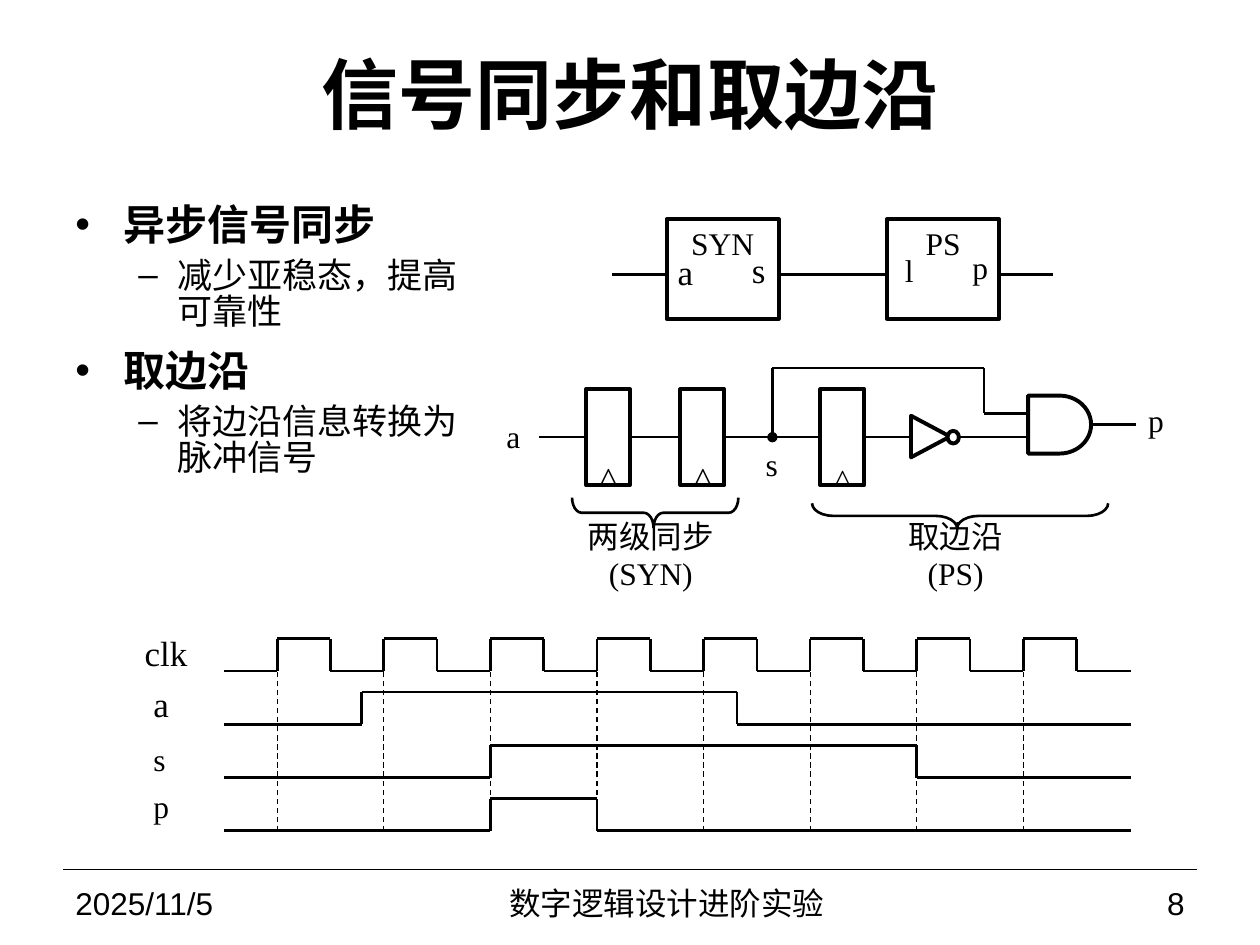
from dataclasses import dataclass

from lxml import etree
from pptx import Presentation
from pptx.dml.color import RGBColor
from pptx.enum import dml, shapes, text
from pptx.oxml.ns import qn
from pptx.util import Inches, Pt

COLORS = {"ink": "000000", "paper": "FFFFFF"}
SERIF, SANS, CJK = "Times New Roman", "Arial", "Noto Sans CJK SC"
COLS, ROWS = 100, 75
MSO = shapes.MSO_SHAPE
LEFT, CENTER, RIGHT = text.PP_ALIGN.LEFT, text.PP_ALIGN.CENTER, text.PP_ALIGN.RIGHT
TOP, MIDDLE = text.MSO_ANCHOR.TOP, text.MSO_ANCHOR.MIDDLE

prs = Presentation()
prs.slide_width, prs.slide_height = Inches(10), Inches(7.5)
CELL_W, CELL_H = prs.slide_width / COLS, prs.slide_height / ROWS


@dataclass
class Box:
    """A region of the slide, in grid columns and rows."""
    x: float
    y: float
    w: float
    h: float

    def at(self, x, y):
        return round((self.x + x) * CELL_W), round((self.y + y) * CELL_H)

    def frame(self, x, y, w, h):
        return *self.at(x, y), round(w * CELL_W), round(h * CELL_H)


def rgb(name):
    return RGBColor.from_string(COLORS[name])


def add_run(p, words, size, font=SERIF, bold=False):
    r = p.add_run()
    r.text = words
    r.font.name, r.font.size, r.font.bold = font, Pt(size), bold
    r.font.color.rgb = rgb("ink")
    etree.SubElement(r._r.get_or_add_rPr(), qn("a:ea"), typeface=CJK)


def setup_frame(tf, anchor=TOP, wrap=False, inset=None):
    tf.word_wrap, tf.vertical_anchor = wrap, anchor
    if inset is not None:
        tf.margin_left = tf.margin_right = 0
        tf.margin_top = tf.margin_bottom = Inches(inset)


def add_label(s, box, pos, words, size, align=LEFT, font=SERIF, **setup):
    """Text box; a list of words is split by line breaks."""
    sp = s.shapes.add_textbox(*box.frame(*pos))
    setup_frame(sp.text_frame, **setup)
    p = sp.text_frame.paragraphs[0]
    p.alignment = align
    for i, line in enumerate([words] if isinstance(words, str) else words):
        if i:
            p.add_line_break()
        add_run(p, line, size, font)
    return sp


def add_shape(s, box, kind, pos, fill=None, width=2.25, rotation=0):
    sp = s.shapes.add_shape(kind, *box.frame(*pos))
    sp.shadow.inherit = False
    sp.rotation = rotation
    if fill:
        sp.fill.solid()
        sp.fill.fore_color.rgb = rgb(fill)
    else:
        sp.fill.background()
    sp.line.color.rgb, sp.line.width = rgb("ink"), Pt(width)
    return sp


def add_line(s, box, start, end, width=1.5, dash=False, dot=False):
    c = s.shapes.add_connector(shapes.MSO_CONNECTOR.STRAIGHT,
                               *box.at(*start), *box.at(*end))
    c.line.color.rgb, c.line.width = rgb("ink"), Pt(width)
    if dash:
        c.line.dash_style = dml.MSO_LINE.DASH
    if dot:
        etree.SubElement(c.line._get_or_add_ln(), qn("a:headEnd"), type="oval")
    etree.SubElement(c._element.spPr, qn("a:effectLst"))
    return c


def add_path(s, box, points, dot=False):
    for i, (start, end) in enumerate(zip(points, points[1:])):
        add_line(s, box, start, end, dot=dot and i == 0)


def title(s, box):
    sp = s.shapes.add_textbox(*box.frame(0, 0, box.w, box.h))
    setup_frame(sp.text_frame, MIDDLE, wrap=True)
    p = sp.text_frame.paragraphs[0]
    p.alignment = CENTER
    add_run(p, "信号同步和", 44, bold=True)
    add_run(p, "取边沿", 44, CJK, bold=True)


def bullets(s, box, topics):
    tf = s.shapes.add_textbox(*box.frame(0, 0, box.w, box.h)).text_frame
    setup_frame(tf, wrap=True)
    # level: bullet, left margin, hanging indent, size
    styles = [("•", 0.38, 0.38, 24), ("–", 0.81, 0.31, 20)]
    for i, topic in enumerate(topics):
        for level, words in enumerate(topic):
            char, margin, hang, size = styles[level]
            first = i == 0 and level == 0
            p = tf.paragraphs[0] if first else tf.add_paragraph()
            p.level = level
            pPr = p._p.get_or_add_pPr()
            pPr.set("marL", str(Inches(margin)))
            pPr.set("indent", str(-Inches(hang)))
            etree.SubElement(pPr, qn("a:buFont"), typeface=SANS)
            etree.SubElement(pPr, qn("a:buChar"), char=char)
            p.line_spacing, p.space_after = 0.85, Pt(6)
            p.space_before = Pt(6 if level == 0 and not first else 0)
            add_run(p, words, size, bold=level == 0)


def block(s, box, name, source, result, size):
    """Block symbol with one input and one output."""
    left, wide, wire = 4.3, 8.9, 4.4
    sp = add_shape(s, box, MSO.RECTANGLE, (left, 0, wide, box.h))
    setup_frame(sp.text_frame, inset=0.04)
    p = sp.text_frame.paragraphs[0]
    p.alignment = CENTER
    add_run(p, name, 18)
    add_line(s, box, (0, wire), (left, wire))
    add_line(s, box, (left + wide, wire), (box.w, wire))
    add_label(s, box, (4.1, 2, 3.3, 4.2), source, size, RIGHT, wrap=True)
    add_label(s, box, (10.1, 1.8, 3.3, 4.2), result, size)


def circuit(s, box):
    wire = 5.5
    # Registers with clock marks
    regs = []
    for x, size in ((7.8, 20), (15.3, 20), (26.4, 18)):
        regs.append(add_shape(s, box, MSO.RECTANGLE, (x, 1.7, 3.5, 7.6)))
        mark = add_label(s, box, (x - 0.1, 7.9, 3.4, 1.6), ">", size,
                         anchor=MIDDLE, inset=0)
        mark.rotation = 180
        mark.text_frame._txBody.bodyPr.set("vert", "eaVert")
    # Wires along the register row
    add_line(s, box, (4.1, wire), (7.8, wire)).end_connect(regs[0], 1)
    for before, after in zip(regs, regs[1:]):
        c = add_line(s, box, (0, wire), (1, wire))
        c.begin_connect(before, 3)
        c.end_connect(after, 1)
    add_line(s, box, (29.9, wire), (42.9, wire)).begin_connect(regs[2], 3)
    # Branch over the last register
    add_path(s, box, [(22.6, wire), (22.6, 0), (39.4, 0), (39.4, 3.6), (43.2, 3.6)],
             dot=True)
    # Inverter and AND gate
    add_shape(s, box, MSO.ISOSCELES_TRIANGLE, (33.5, 3.9, 3.3, 3.1), "paper", rotation=90)
    add_shape(s, box, MSO.OVAL, (36.5, 5, 0.9, 1), "paper")
    gate = add_shape(s, box, MSO.FLOWCHART_DELAY, (42.9, 2.2, 5, 4.6), "paper")
    add_line(s, box, (47.9, 4.5), (51.5, 4.5)).begin_connect(gate, 3)
    # Signal names
    for x, y, name in ((0, 3.9, "a"), (20.5, 6.1, "s"), (51, 2.6, "p")):
        add_label(s, box, (x, y, 4.1, 3), name, 18, CENTER, anchor=MIDDLE, inset=0)
    # Braces and captions
    for brace, curl, x, w, words in (
            ((12.1, 4.9, 2.4, 13.2), 0.32, 4.2, 17.5, ["两级同步", "(SYN)"]),
            ((36.5, 0, 2, 23.5), 0.85, 30.8, 12.7, ["取边沿", "(PS)"])):
        sp = add_shape(s, box, MSO.RIGHT_BRACE, brace, width=1.5, rotation=90)
        sp.adjustments[0], sp.adjustments[1] = curl, 0.51
        add_label(s, box, (x, 13.3, w, 3), words, 18, CENTER, anchor=MIDDLE, inset=0)


def timing(s, box):
    first, period, cycles = 11.5, 8.46, 8
    high, pitch, swing, start = 1.1, 4.23, 2.55, 7.3
    rises = [first + period * k for k in range(cycles)]
    # name, label left, label top, size, edges where the level flips
    signals = [
        ("clk", 0, 0, 20, [x + d for x in rises for d in (0, period / 2)]),
        ("a", 0.7, 4.1, 20, [18.2, 48]),
        ("s", 0.7, 8.6, 18, [rises[2], rises[6]]),
        ("p", 0.7, 12.4, 18, [rises[2], rises[3]]),
    ]
    bottom = high + pitch * (len(signals) - 1) + swing
    for x in rises:
        add_line(s, box, (x, bottom), (x, high), 0.75, dash=True)
    for i, (name, left, top, size, edges) in enumerate(signals):
        add_label(s, box, (left, top, 3.3 * len(name) ** 0.5, 4.2), name, size)
        up = high + pitch * i
        levels = (up + swing, up)
        points = [(start, levels[0])]
        for k, x in enumerate(edges):
            points += [(x, levels[k % 2]), (x, levels[(k + 1) % 2])]
        add_path(s, box, points + [(box.w, levels[0])])


def footer(s, box, date, course, number):
    add_line(s, box, (0, 0), (box.w, 0), 0.75)
    for x, w, words, align in ((0, 23.3, date, LEFT), (23.3, 49.2, course, CENTER),
                               (72.5, 17.5, number, RIGHT)):
        add_label(s, box, (x, 0.8, w, 3.7), words, 18, align, SANS,
                  anchor=MIDDLE, wrap=True)


s = prs.slides.add_slide(prs.slide_layouts[6])
title(s, Box(5, 1.7, 90, 11.3))
bullets(s, Box(5, 15.9, 33.8, 32.2), [
    ("异步信号同步", "减少亚稳态，提高可靠性"),
    ("取边沿", "将边沿信息转换为脉冲信号"),
])
block(s, Box(48.6, 17.4, 17.5, 7.9), "SYN", "a", "s", 20)
block(s, Box(66.1, 17.4, 17.5, 7.9), "PS", "l", "p", 18)
circuit(s, Box(38.7, 29.2, 55.1, 16.3))
timing(s, Box(10.5, 49.6, 79.3, 16.4))
footer(s, Box(5, 69, 90, 4.5), "2025/11/5", "数字逻辑设计进阶实验", "8")
prs.save("out.pptx")
